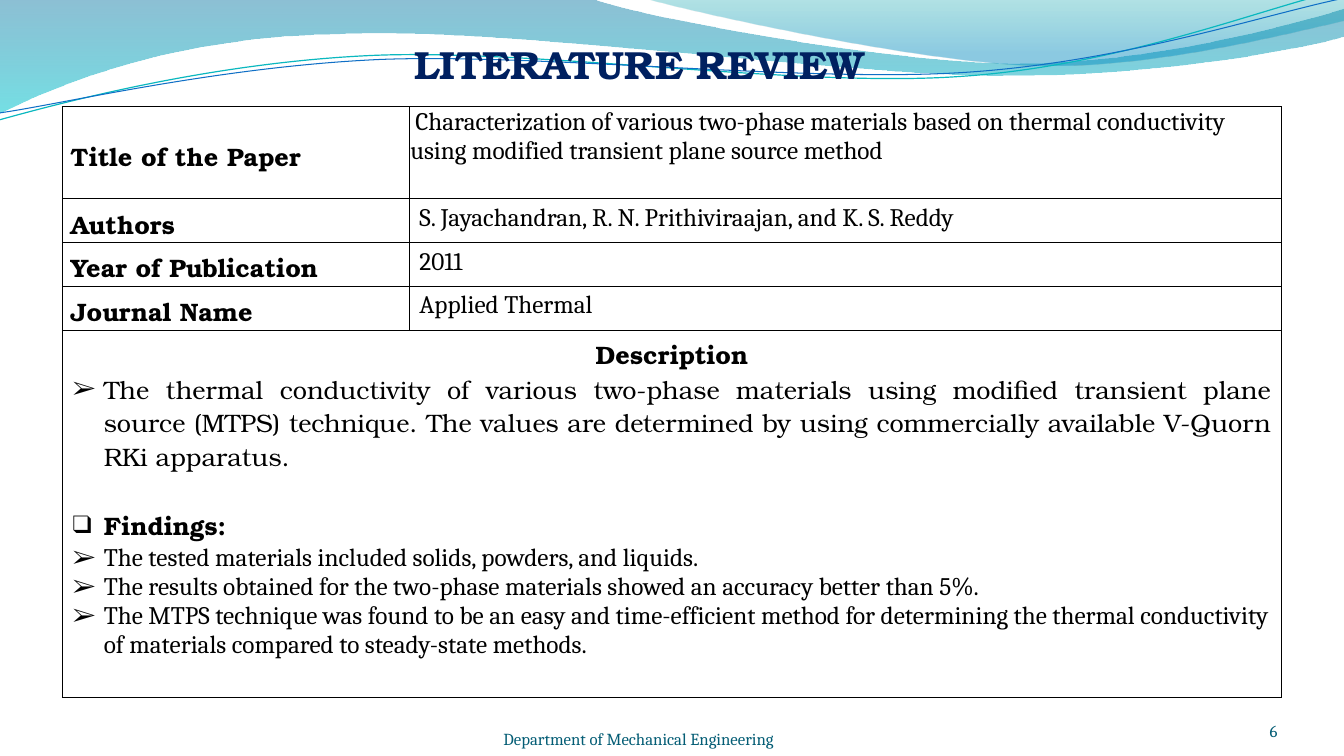
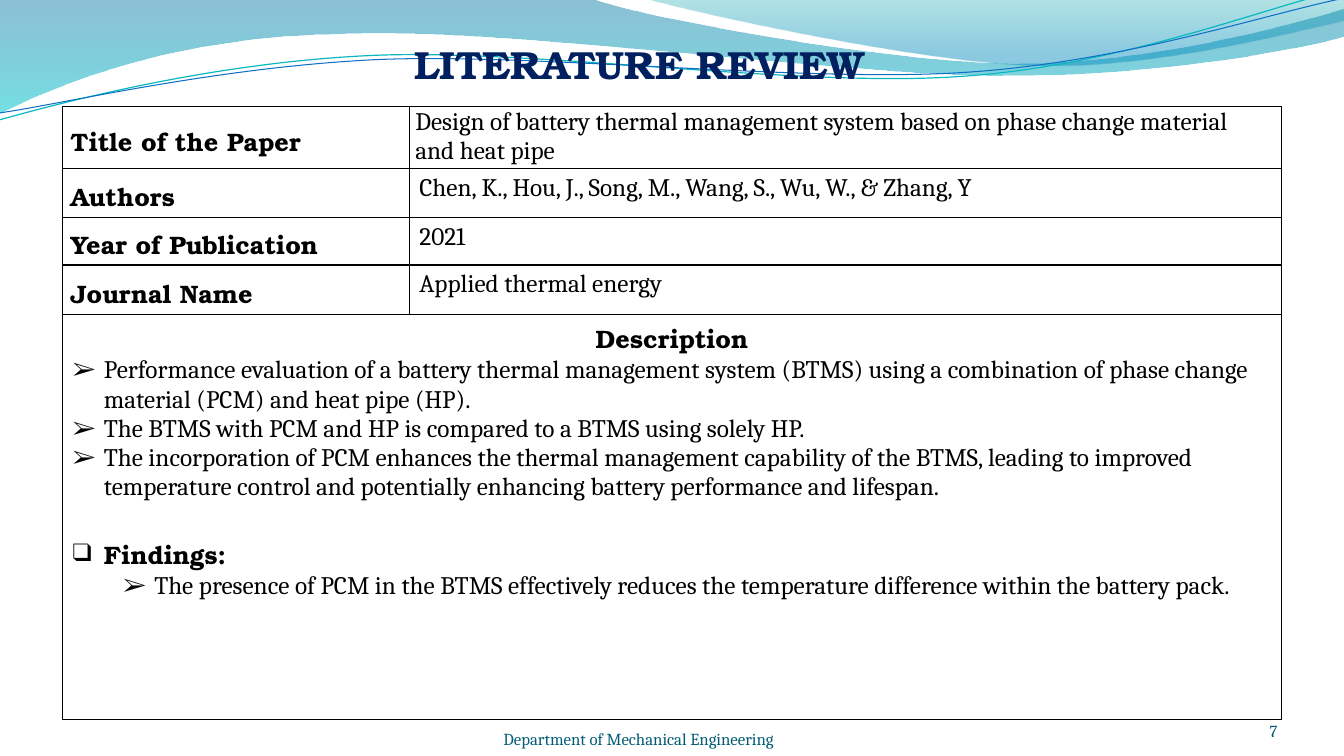
"""Build two literature review slides with a shared wave header, title and footer."""
from lxml import etree
from pptx import Presentation
from pptx import util as u
from pptx.dml.color import RGBColor
from pptx.enum import text
from pptx.oxml import ns

COLORS = {"ink": "000000", "title": "002060", "footer": "045D75",
          "deep": "0074A1", "cyan": "00C6CF", "teal": "00A1A9", "sea": "008BBF",
          "aqua_line": "0AB8BF", "blue_line": "0F6FC6"}
HEADING, BODY = "TeX Gyre Bonum", "Cambria"
ARROW, SQUARE = "➢", "❑"
LABELS = ["Title of the Paper", "Authors", "Year of Publication", "Journal Name"]
FOOTER = "Department of Mechanical Engineering"
TABLE_LEFT, TABLE_TOP = 0.62, 1.06
COLUMNS = [3.44, 8.65]

WAVES = [
    {"fill": [(0, "deep", 45), (100, "cyan", 55)], "start": (0, 0), "steps": [
        (5.87, -0.01), (6.34, 0.17, 8.85, 0.63, 10.11, 0.63),
        (11.38, 0.63, 12.78, 0.26, 13.33, 0.09), (13.35, 0.36),
        (13.11, 0.44, 11.6, 0.76, 9.94, 0.75), (8.29, 0.75, 5.09, 0.28, 3.43, 0.34),
        (1.72, 0.36, 0.61, 0.83, -0.01, 1.13)]},
    {"fill": [(0, "teal", 30), (80, "sea", 45)], "start": (6.39, -0.01), "steps": [
        (6.79, 0.11, 9.09, 0.62, 10.25, 0.65),
        (11.41, 0.69, 12.82, 0.32, 13.33, 0.21), (13.33, 0)]},
    {"line": ("aqua_line", 0.85), "start": (-0.01, 1.19), "steps": [
        (0.64, 1.01, 2.11, 0.62, 3.69, 0.55), (5.27, 0.48, 7.9, 0.87, 9.5, 0.76),
        (11.1, 0.66, 12.52, 0.08, 13.31, -0.1)]},
    {"line": ("blue_line", 0.75), "start": (0, 1.12), "steps": [
        (0.63, 1.03, 2.18, 0.66, 3.78, 0.59), (5.37, 0.53, 7.96, 0.82, 9.55, 0.72),
        (11.15, 0.62, 12.55, 0.14, 13.34, -0.02)]},
]

REVIEWS = [
    {"number": "6", "rows": [0.91, 0.44, 0.43, 0.44, 3.64],
     "paper": [(0.05, "Characterization of various two-phase materials based on thermal conductivity"),
               (0, "using modified transient plane source method")],
     "facts": ["S. Jayachandran, R. N. Prithiviraajan, and K. S. Reddy", "2011", "Applied Thermal"],
     "description": [
         ("The thermal conductivity of various two-phase materials using modified transient plane "
          "source (MTPS) technique. The values are determined by using commercially available "
          "V-Quorn RKi apparatus.")],
     "description_font": HEADING, "description_align": text.PP_ALIGN.JUSTIFY,
     "findings_level": 0,
     "findings": [
         "The tested materials included solids, powders, and liquids.",
         "The results obtained for the two-phase materials showed an accuracy better than 5%.",
         ("The MTPS technique was found to be an easy and time-efficient method for determining "
          "the thermal conductivity of materials compared to steady-state methods.")]},
    {"number": "7", "rows": [0.61, 0.49, 0.47, 0.49, 4.02],
     "paper": [(0.05, "Design of battery thermal management system based on phase change material"),
               (0.05, "and heat pipe")],
     "facts": ["Chen, K., Hou, J., Song, M., Wang, S., Wu, W., & Zhang, Y", "2021",
               "Applied thermal energy"],
     "description": [
         ("Performance evaluation of a battery thermal management system (BTMS) using a combination "
          "of phase change material (PCM) and heat pipe (HP)."),
         "The BTMS with PCM and HP is compared to a BTMS using solely HP.",
         ("The incorporation of PCM enhances the thermal management capability of the BTMS, leading "
          "to improved temperature control and potentially enhancing battery performance and lifespan.")],
     "description_font": BODY, "description_align": text.PP_ALIGN.LEFT,
     "findings_level": 1,
     "findings": ["The presence of PCM in the BTMS effectively reduces the temperature difference "
                  "within the battery pack."]},
]


def add_xml(parent, tag, **attributes):
    return etree.SubElement(parent, ns.qn(tag), attributes)


def add_span(para, words, font=BODY, size=18, color="ink", bold=False):
    span = para.add_run()
    span.text = words
    span.font.name, span.font.size, span.font.bold = font, u.Pt(size), bold
    span.font.color.rgb = RGBColor.from_string(COLORS[color])


def next_para(frame):
    first = frame.paragraphs[0]
    return frame.add_paragraph() if first.runs else first


def set_indent(para, left, first=0):
    props = para._p.get_or_add_pPr()
    props.set("marL", str(u.Inches(left)))
    props.set("indent", str(u.Inches(first)))
    return props


def add_bullet(frame, words, mark=ARROW, level=0, align=text.PP_ALIGN.LEFT, before=0, **style):
    para = next_para(frame)
    para.level, para.alignment, para.space_before = level, align, u.Pt(before)
    props = set_indent(para, 0.31 + 0.5 * level, -0.31)
    add_xml(props, "a:buFont", typeface=BODY)
    add_xml(props, "a:buChar", char=mark)
    add_span(para, words, **style)


def bend_segments(shape, steps):
    """Turn the straight segments of six-number steps into Bezier curves."""
    segments = list(shape.element.iter(ns.qn("a:lnTo")))
    for segment, step in zip(segments, steps):
        if len(step) == 2:
            continue
        segment.tag = ns.qn("a:cubicBezTo")
        for index, (x, y) in enumerate((step[:2], step[2:4])):
            point = etree.Element(ns.qn("a:pt"), x=str(u.Inches(x) - shape.left),
                                  y=str(u.Inches(y) - shape.top))
            segment.insert(index, point)


def add_wave(slide, wave):
    points = [tuple(map(u.Inches, step[-2:])) for step in [wave["start"], *wave["steps"]]]
    builder = slide.shapes.build_freeform(*points[0], scale=1.0)
    builder.add_line_segments(points[1:], close="fill" in wave)
    shape = builder.convert_to_shape()
    bend_segments(shape, wave["steps"])
    shape.shadow.inherit = False
    shape.fill.background()
    if "line" in wave:
        color, width = wave["line"]
        shape.line.color.rgb = RGBColor.from_string(COLORS[color])
        shape.line.width = u.Pt(width)
        return shape
    shape.line.fill.background()
    gradient = etree.Element(ns.qn("a:gradFill"), rotWithShape="1")
    stops = add_xml(gradient, "a:gsLst")
    for position, color, opacity in wave["fill"]:
        stop = add_xml(stops, "a:gs", pos=str(position * 1000))
        shade = add_xml(stop, "a:srgbClr", val=COLORS[color])
        add_xml(shade, "a:alpha", val=str(opacity * 1000))
    add_xml(gradient, "a:lin", ang="5400000", scaled="0")
    old_fill = shape.element.spPr.find(ns.qn("a:noFill"))
    old_fill.getparent().replace(old_fill, gradient)
    return shape


def add_footer(slide, words, left, top, width, align):
    box = slide.shapes.add_textbox(*map(u.Inches, (left, top, width, 0.4)))
    frame = box.text_frame
    frame.word_wrap = True
    frame.vertical_anchor = text.MSO_ANCHOR.BOTTOM
    frame.margin_left = frame.margin_top = frame.margin_right = frame.margin_bottom = 0
    para = frame.paragraphs[0]
    para.alignment = align
    add_span(para, words, size=12, color="footer")


def set_margins(cell, left, top, right, bottom):
    cell.margin_left, cell.margin_top = u.Inches(left), u.Inches(top)
    cell.margin_right, cell.margin_bottom = u.Inches(right), u.Inches(bottom)


def style_cell(cell):
    props = cell._tc.get_or_add_tcPr()
    for side in ("a:lnL", "a:lnR", "a:lnT", "a:lnB"):
        line = add_xml(props, side, w=str(u.Pt(1)))
        add_xml(add_xml(line, "a:solidFill"), "a:srgbClr", val=COLORS["ink"])
    cell.fill.background()


def add_review_table(slide, review):
    rows = review["rows"]
    frame = slide.shapes.add_table(len(rows), len(COLUMNS), *map(
        u.Inches, (TABLE_LEFT, TABLE_TOP, sum(COLUMNS), sum(rows))))
    table = frame.table
    table.first_row = table.horz_banding = False
    for column, width in zip(table.columns, COLUMNS):
        column.width = u.Inches(width)
    for row, height in zip(table.rows, rows):
        row.height = u.Inches(height)
    for cell in table.iter_cells():
        style_cell(cell)

    for index, label in enumerate(LABELS):
        cell = table.cell(index, 0)
        set_margins(cell, 0.08, 0, 0.08, 0)
        cell.vertical_anchor = text.MSO_ANCHOR.MIDDLE
        para = cell.text_frame.paragraphs[0]
        para.line_spacing = 1.15
        add_span(para, label, font=HEADING, bold=True)

    paper = table.cell(0, 1)
    set_margins(paper, 0.01, 0.01, 0.01, 0)
    for indent, words in review["paper"]:
        para = next_para(paper.text_frame)
        set_indent(para, indent)
        add_span(para, words)
    for index, fact in enumerate(review["facts"], 1):
        add_span(table.cell(index, 1).text_frame.paragraphs[0], fact)

    last = len(rows) - 1
    table.cell(last, 0).merge(table.cell(last, 1))
    body = table.cell(last, 0).text_frame
    para = body.paragraphs[0]
    para.alignment = text.PP_ALIGN.CENTER
    add_span(para, "Description", font=HEADING, bold=True)
    for words in review["description"]:
        add_bullet(body, words, align=review["description_align"], font=review["description_font"])
    add_bullet(body, "Findings:", mark=SQUARE, before=24, font=HEADING, bold=True)
    for words in review["findings"]:
        add_bullet(body, words, level=review["findings_level"])


def add_review(deck, layout, review):
    slide = deck.slides.add_slide(layout)
    para = slide.shapes.title.text_frame.paragraphs[0]
    para.alignment = text.PP_ALIGN.LEFT
    add_span(para, "LITERATURE REVIEW", font=HEADING, size=28, color="title", bold=True)
    add_footer(slide, FOOTER, 3.89, 7.03, 4.89, text.PP_ALIGN.CENTER)
    add_footer(slide, review["number"], 11.56, 6.95, 1.11, text.PP_ALIGN.RIGHT)
    add_review_table(slide, review)


def main():
    deck = Presentation()
    deck.slide_width, deck.slide_height = u.Inches(13.33), u.Inches(7.5)
    layout = deck.slide_layouts.get_by_name("Title Only")
    title = layout.placeholders[0]
    title.left, title.top = u.Inches(4.01), u.Inches(0.35)
    title.width, title.height = u.Inches(5.32), u.Inches(0.57)
    for review in REVIEWS:
        add_review(deck, layout, review)
    backmost = deck.slide_master.shapes[0].element
    for wave in WAVES:
        backmost.addprevious(add_wave(deck.slides[0], wave).element)
    deck.save("out.pptx")


if __name__ == "__main__":
    main()
